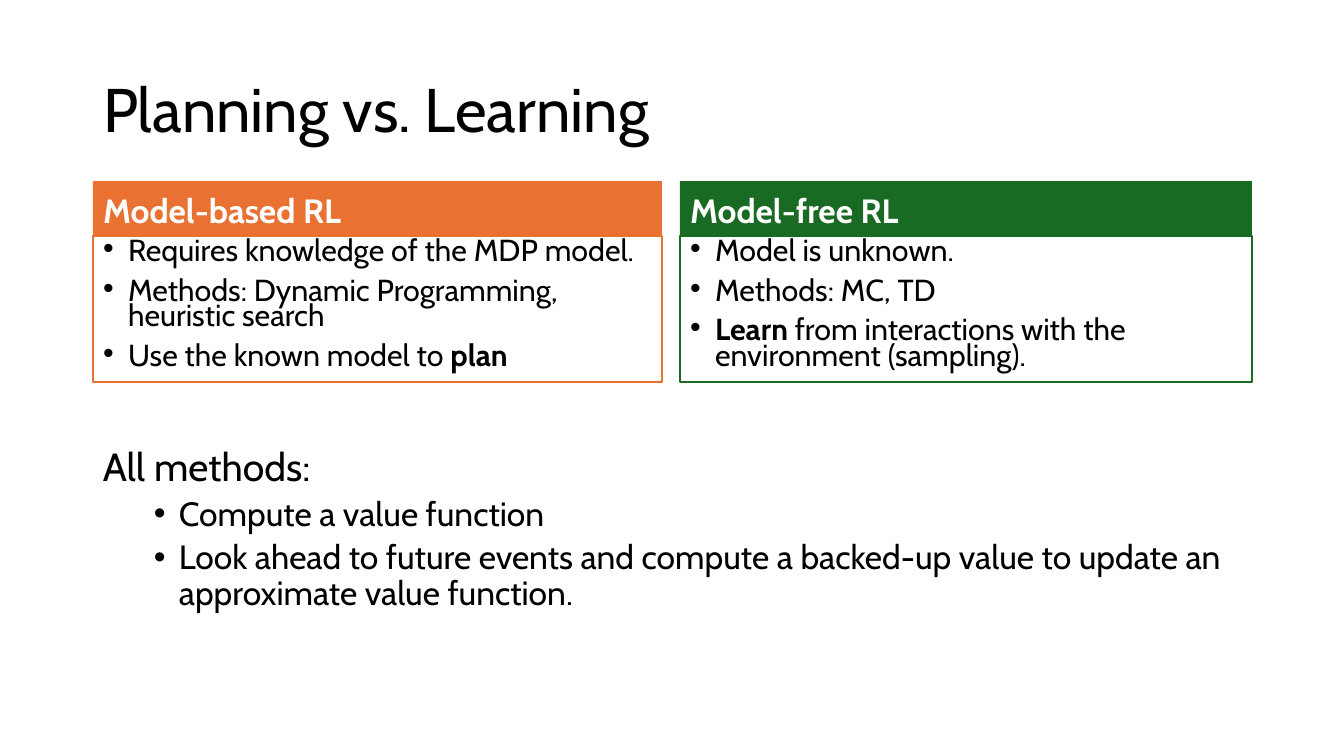
from lxml.etree import SubElement
from pptx import Presentation
from pptx.dml.color import RGBColor as RGB
from pptx.enum.text import MSO_ANCHOR as Anchor, MSO_AUTO_SIZE as Fit, PP_ALIGN as Align
from pptx.oxml.ns import qn
from pptx.util import Pt

PX = 914400 / 100.8
FONT = "Cabin"
HEX = {"black": "000000", "white": "FFFFFF", "orange": "E97132", "green": "196B24"}


def place(shape, *box):
    shape.left, shape.top, shape.width, shape.height = [round(n * PX) for n in box]


def write(shape, rows, anchor=Anchor.TOP, color="black", lead=0.9):
    """Fill a shape with rows of (text, size, indent, space before); ** switches bold."""
    frame = shape.text_frame
    frame.word_wrap = True
    frame.auto_size = Fit.NONE
    frame.vertical_anchor = anchor
    for i, (text, size, indent, gap) in enumerate(rows):
        para = frame.add_paragraph() if i else frame.paragraphs[0]
        props = para._p.get_or_add_pPr()
        if indent:
            props.set("marL", str(round(indent * PX)))
            props.set("indent", str(round(-25 * PX)))
            SubElement(props, qn("a:buFont")).set("typeface", "Arial")
            SubElement(props, qn("a:buChar")).set("char", "•")
        else:
            props.set("marL", "0")
            props.set("indent", "0")
            SubElement(props, qn("a:buNone"))
        para.level = 1 if indent > 25 else 0
        para.alignment = Align.LEFT
        para.line_spacing = lead
        para.space_before = Pt(gap if i else 0)
        para.space_after = Pt(0)
        for j, part in enumerate(text.split("**")):
            if part:
                run = para.add_run()
                run.text = part
                font = run.font
                font.name, font.size, font.bold = FONT, Pt(size), j % 2 == 1
                font.color.rgb = RGB.from_string(HEX[color])


deck = Presentation()
deck.slide_width, deck.slide_height = round(1344 * PX), round(756 * PX)
slide = deck.slides.add_slide(deck.slide_layouts.get_by_name("Comparison"))
title, *holders = slide.placeholders

place(title, 93, 40, 1159, 146)
write(title, [("Planning vs. Learning", 44, 0, 0)], Anchor.MIDDLE)

columns = [
    (93, 569, "orange", "Model-based RL", [
        "Requires knowledge of the MDP model.",
        "Methods: Dynamic Programming, heuristic search",
        "Use the known model to **plan**"]),
    (680, 572, "green", "Model-free RL", [
        "Model is unknown.",
        "Methods: MC, TD",
        "**Learn** from interactions with the environment (sampling)."]),
]
for (left, width, color, name, points), head, body in zip(columns, holders[::2], holders[1::2]):
    tint = RGB.from_string(HEX[color])
    place(head, left, 181, width, 55)
    head.fill.solid()
    head.fill.fore_color.rgb = tint
    write(head, [(f"**{name}**", 24, 0, 0)], Anchor.BOTTOM, "white")

    place(body, left, 236, width, 146)
    body.fill.solid()
    body.fill.fore_color.rgb = RGB.from_string(HEX["white"])
    body.line.color.rgb = tint
    body.line.width = Pt(1.5)
    write(body, [(point, 21.7, 25, 10) for point in points], lead=0.7)

notes = slide.shapes.add_textbox(0, 0, 0, 0)
place(notes, 93, 443, 1159, 224)
write(notes, [
    ("All methods:", 28, 0, 0),
    ("Compute a value function", 24, 76, 5),
    ("Look ahead to future events and compute a backed-up value to update an "
     "approximate value function.", 24, 76, 5),
])

deck.save("out.pptx")
